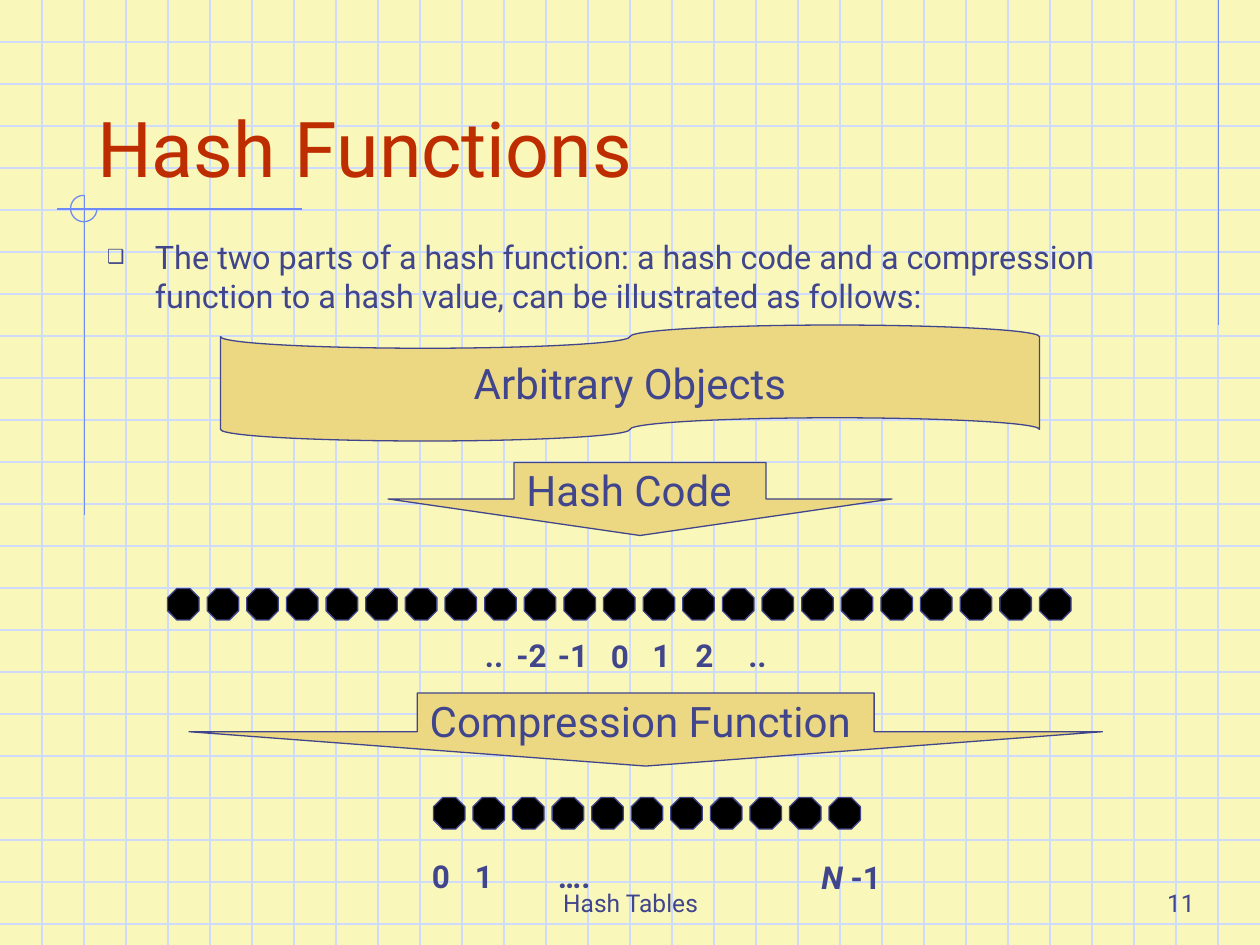
from lxml import etree
from pptx import Presentation
from pptx.dml.color import RGBColor
from pptx.enum.shapes import MSO_CONNECTOR, MSO_SHAPE
from pptx.enum.text import MSO_ANCHOR, MSO_AUTO_SIZE, PP_ALIGN
from pptx.oxml.ns import qn
from pptx.util import Inches, Pt

PAPER = RGBColor(0xF9, 0xF8, 0xBA)
GRID = RGBColor(0xCF, 0xDB, 0xFD)
RULE = RGBColor(0x6F, 0x89, 0xF7)
INK = RGBColor(0x40, 0x45, 0x8C)
RED = RGBColor(0xBE, 0x2D, 0x00)
GOLD = RGBColor(0xEC, 0xD8, 0x82)
BLACK = RGBColor(0, 0, 0)
STRAIGHT = MSO_CONNECTOR.STRAIGHT
LEFT, CENTER, RIGHT = PP_ALIGN.LEFT, PP_ALIGN.CENTER, PP_ALIGN.RIGHT
TOP, BOTTOM = MSO_ANCHOR.TOP, MSO_ANCHOR.BOTTOM
PUNCHED_TAPE = MSO_SHAPE.FLOWCHART_PUNCHED_TAPE
DOWN_ARROW = MSO_SHAPE.DOWN_ARROW

prs = Presentation()
prs.slide_width, prs.slide_height = Inches(10), Inches(7.5)
s = prs.slides.add_slide(prs.slide_layouts[1])
s.background.fill.solid()
s.background.fill.fore_color.rgb = PAPER


def add_run(p, text, size, color=INK, **styles):
    r = p.add_run()
    r.text = text
    r.font.color.rgb = color
    for name, value in {"name": "Roboto", "size": Pt(size), **styles}.items():
        setattr(r.font, name, value)


def add_preset(kind, box, fill, line=INK):
    """Add a preset shape with a thin outline; a fill of None leaves it open."""
    sp = s.shapes.add_shape(kind, *map(Inches, box))
    sp.shadow.inherit = False
    if fill is None:
        sp.fill.background()
    else:
        sp.fill.solid()
        sp.fill.fore_color.rgb = fill
    sp.line.color.rgb = line
    sp.line.width = Pt(0.75)
    return sp


# Graph paper and margin rules
lines = [(0, i / 3, 10, i / 3, GRID) for i in range(1, 23)]
lines += [(i / 3, 0, i / 3, 7.5, GRID) for i in range(1, 30)]
lines += [
    (9.67, 0, 9.67, 2.58, RULE),
    (2.4, 1.66, 0.45, 1.66, RULE),
    (0.67, 1.55, 0.67, 4.09, RULE),
]
for *ends, color in lines:
    line = s.shapes.add_connector(STRAIGHT, *map(Inches, ends))
    line.line.color.rgb = color
    line.line.width = Pt(0.75)
    etree.SubElement(line._element.spPr, qn("a:effectLst"))

arc = add_preset(MSO_SHAPE.ARC, (0.56, 1.55, 0.21, 0.21), None, RULE)
arc.adjustments[0] = 0
arc.adjustments[1] = 162  # 270 degrees, in units of 100000/60000 degree

# Title and body, raised above the grid
title, body = s.shapes.title, s.placeholders[1]
for sp, box, anchor in [
    (title, (0.67, 0.33, 8.5, 1.25), BOTTOM),
    (body, (0.75, 1.83, 8.92, 0.83), TOP),
]:
    s.shapes._spTree.append(sp._element)
    sp.left, sp.top, sp.width, sp.height = map(Inches, box)
    sp.text_frame.auto_size = MSO_AUTO_SIZE.NONE
    sp.text_frame.vertical_anchor = anchor
    p = sp.text_frame.paragraphs[0]
    p.alignment = LEFT
    p.space_before = Pt(0)

add_run(title.text_frame.paragraphs[0], "Hash Functions", 44, RED)

p = body.text_frame.paragraphs[0]
pPr = p._p.get_or_add_pPr()
pPr.set("marL", str(Inches(0.38)))
pPr.set("indent", str(-Inches(0.38)))
bullet_color = etree.SubElement(pPr, qn("a:buClr"))
etree.SubElement(bullet_color, qn("a:srgbClr"), val=str(INK))
etree.SubElement(pPr, qn("a:buSzPct"), val="60000")
etree.SubElement(pPr, qn("a:buChar"), char="❑")
add_run(p, "The two parts of a hash function: a hash code and a compression "
           "function to a hash value, can be illustrated as follows:", 18.5)

# Stages from objects to hash value
for kind, box, text, align, head in [
    (PUNCHED_TAPE, (1.75, 2.58, 6.5, 0.92), "Arbitrary Objects", CENTER, None),
    (DOWN_ARROW, (3.08, 3.67, 4, 0.58), "Hash Code", LEFT, 0.5),
    (DOWN_ARROW, (1.5, 5.5, 7.25, 0.58), "Compression Function", LEFT, 0.47),
]:
    sp = add_preset(kind, box, GOLD)
    if head:
        sp.adjustments[1] = head
    sp.text_frame.word_wrap = False
    p = sp.text_frame.paragraphs[0]
    p.alignment = align
    add_run(p, text, 24)

# Rows of hash codes and hash values
for first, last, count, top in [(1.33, 8.25, 23, 4.67), (3.44, 6.58, 11, 6.33)]:
    step = (last - first) / (count - 1)
    for i in range(count):
        add_preset(MSO_SHAPE.OCTAGON, (first + i * step, top, 0.25, 0.25), BLACK)

# Number labels, then footer and slide number
PLAIN = {"size": 18, "bold": True}
ITALIC = {**PLAIN, "italic": True}
SMALL = {"size": 14}
for box, runs, align, anchor in [
    ((3.75, 5, 0.41, 0.4), [("..", PLAIN)], LEFT, TOP),
    ((4, 5, 0.5, 0.4), [("-2", PLAIN)], LEFT, TOP),
    ((4.33, 5, 0.5, 0.4), [("-1", PLAIN)], LEFT, TOP),
    ((4.75, 5.01, 0.25, 0.4), [("0", PLAIN)], LEFT, TOP),
    ((5.08, 5, 0.25, 0.4), [("1", PLAIN)], LEFT, TOP),
    ((5.42, 5, 0.25, 0.4), [("2", PLAIN)], LEFT, TOP),
    ((5.84, 5, 0.41, 0.4), [("..", PLAIN)], LEFT, TOP),
    ((3.33, 6.75, 0.5, 0.4), [("0", PLAIN)], LEFT, TOP),
    ((3.67, 6.75, 0.25, 0.4), [("1", PLAIN)], LEFT, TOP),
    ((4.33, 6.75, 1.08, 0.4), [("….", PLAIN)], LEFT, TOP),
    ((6.42, 6.76, 0.75, 0.4), [("N ", ITALIC), ("-1", PLAIN)], LEFT, TOP),
    ((3.42, 6.83, 3.17, 0.5), [("Hash Tables", SMALL)], CENTER, BOTTOM),
    ((7.5, 6.83, 2.08, 0.5), [("11", SMALL)], RIGHT, BOTTOM),
]:
    tf = s.shapes.add_textbox(*map(Inches, box)).text_frame
    tf.word_wrap = True
    tf.vertical_anchor = anchor
    p = tf.paragraphs[0]
    p.alignment = align
    for text, styles in runs:
        add_run(p, text, **styles)

prs.save("out.pptx")
